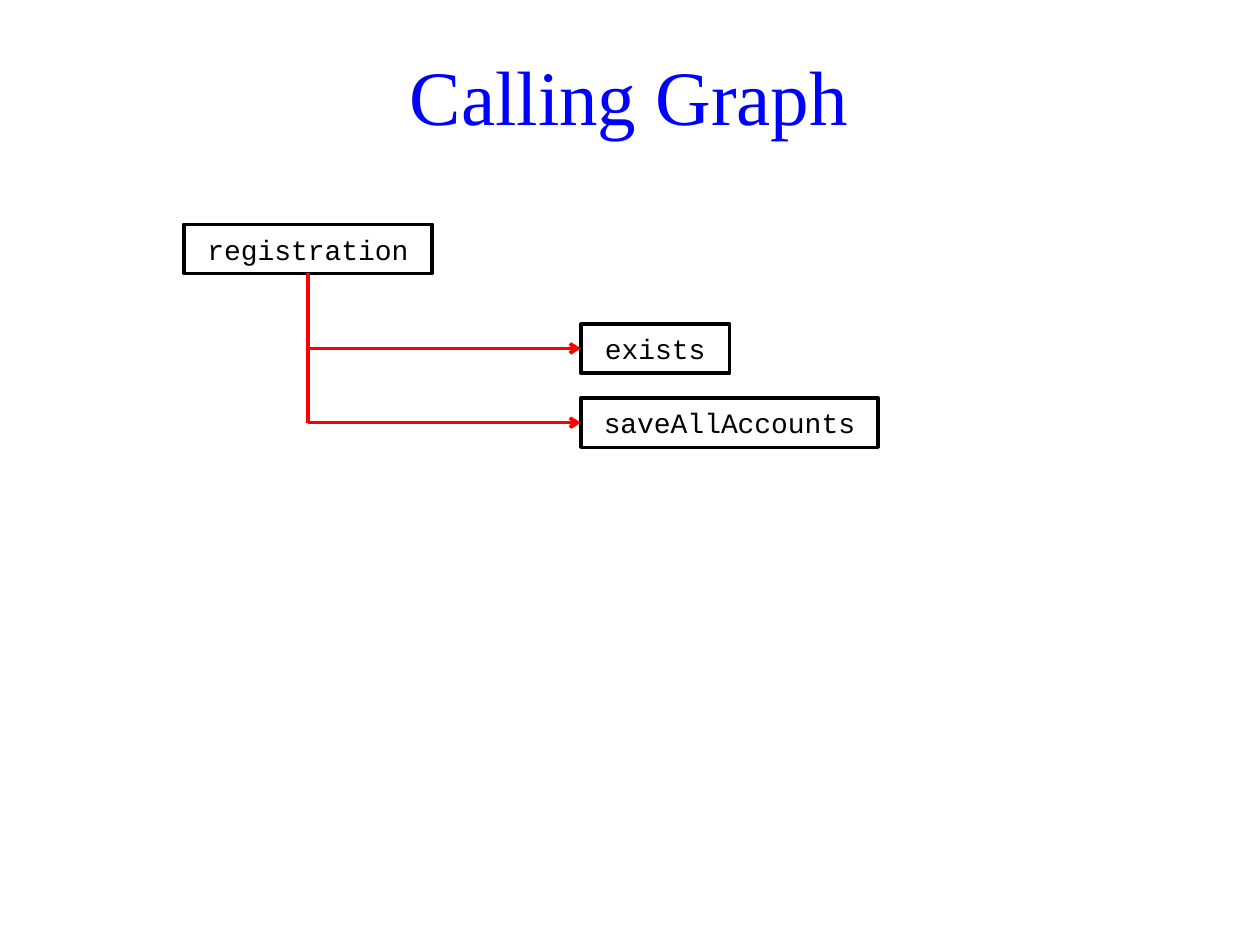
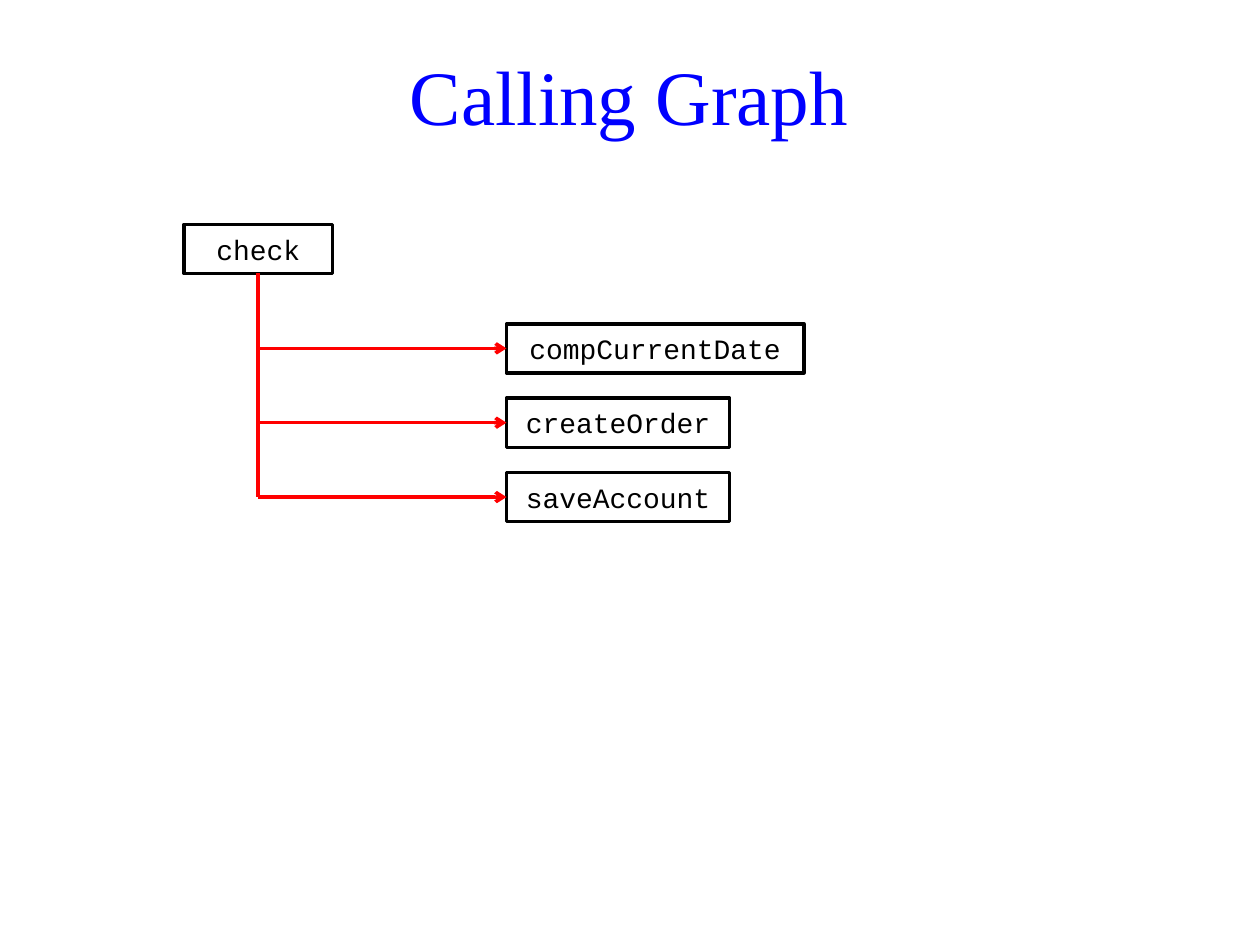
from pptx import Presentation
from pptx import util as u
from pptx.dml.color import RGBColor
from pptx.enum import shapes, text
from pptx.oxml.ns import qn
from lxml import etree

BLUE = RGBColor(0x00, 0x00, 0xFF)
RED = RGBColor(0xFF, 0x00, 0x00)
BLACK = RGBColor(0x00, 0x00, 0x00)

LEFT, TOP, HIGH = 1.46, 1.78, 0.39
FIRST, STEP = 2.57, 0.59

deck = Presentation()
deck.slide_width = u.Inches(10)
deck.slide_height = u.Inches(7.5)


def write(shape, words, font, size, color, space=1.0):
    frame = shape.text_frame
    frame.word_wrap = True
    frame.vertical_anchor = text.MSO_ANCHOR.MIDDLE
    frame.margin_left = frame.margin_right = u.Inches(0.1)
    frame.margin_top = frame.margin_bottom = u.Inches(0.05)
    para = frame.paragraphs[0]
    para.alignment = text.PP_ALIGN.CENTER
    para.line_spacing = space
    run = para.add_run()
    run.text = words
    run.font.name = font
    run.font.size = u.Pt(size)
    run.font.color.rgb = color


def link(slide, start, end, arrow=False):
    points = [u.Inches(n) for n in (*start, *end)]
    line = slide.shapes.add_connector(shapes.MSO_CONNECTOR.STRAIGHT, *points)
    line.line.color.rgb = RED
    line.line.width = u.Pt(2)
    if arrow:
        tail = etree.SubElement(line.line._get_or_add_ln(), qn("a:tailEnd"))
        tail.set("type", "arrow")
    etree.SubElement(line._element.spPr, qn("a:effectLst"))


graphs = [
    ("registration", 1.97, 4.61, [("exists", 1.18), ("saveAllAccounts", 2.36)]),
    ("check", 1.18, 4.02, [("compCurrentDate", 2.36), ("createOrder", 1.77),
                           ("saveAccount", 1.77)]),
]

for caller, wide, right, calls in graphs:
    slide = deck.slides.add_slide(deck.slide_layouts[6])
    title = slide.shapes.add_textbox(
        u.Inches(0.27), u.Inches(0.21), u.Inches(9.45), u.Inches(1.18))
    write(title, "Calling Graph", font="Times New Roman", size=44,
          color=BLUE, space=0.9)

    boxes = [(caller, LEFT, TOP, wide)]
    boxes += [(name, right, FIRST + i * STEP, span)
              for i, (name, span) in enumerate(calls)]
    for name, x, y, span in boxes:
        box = slide.shapes.add_shape(
            shapes.MSO_SHAPE.FLOWCHART_PROCESS,
            u.Inches(x), u.Inches(y), u.Inches(span), u.Inches(HIGH))
        box.shadow.inherit = False
        box.fill.background()
        box.line.color.rgb = BLACK
        box.line.width = u.Pt(2)
        write(box, name, font="Courier New", size=16, color=BLACK)

    stem = LEFT + wide / 2
    rows = [y + HIGH / 2 for name, x, y, span in boxes[1:]]
    for row in rows:
        link(slide, (stem, row), (right, row), arrow=True)
    link(slide, (stem, TOP + HIGH), (stem, rows[-1]))

deck.save("out.pptx")
